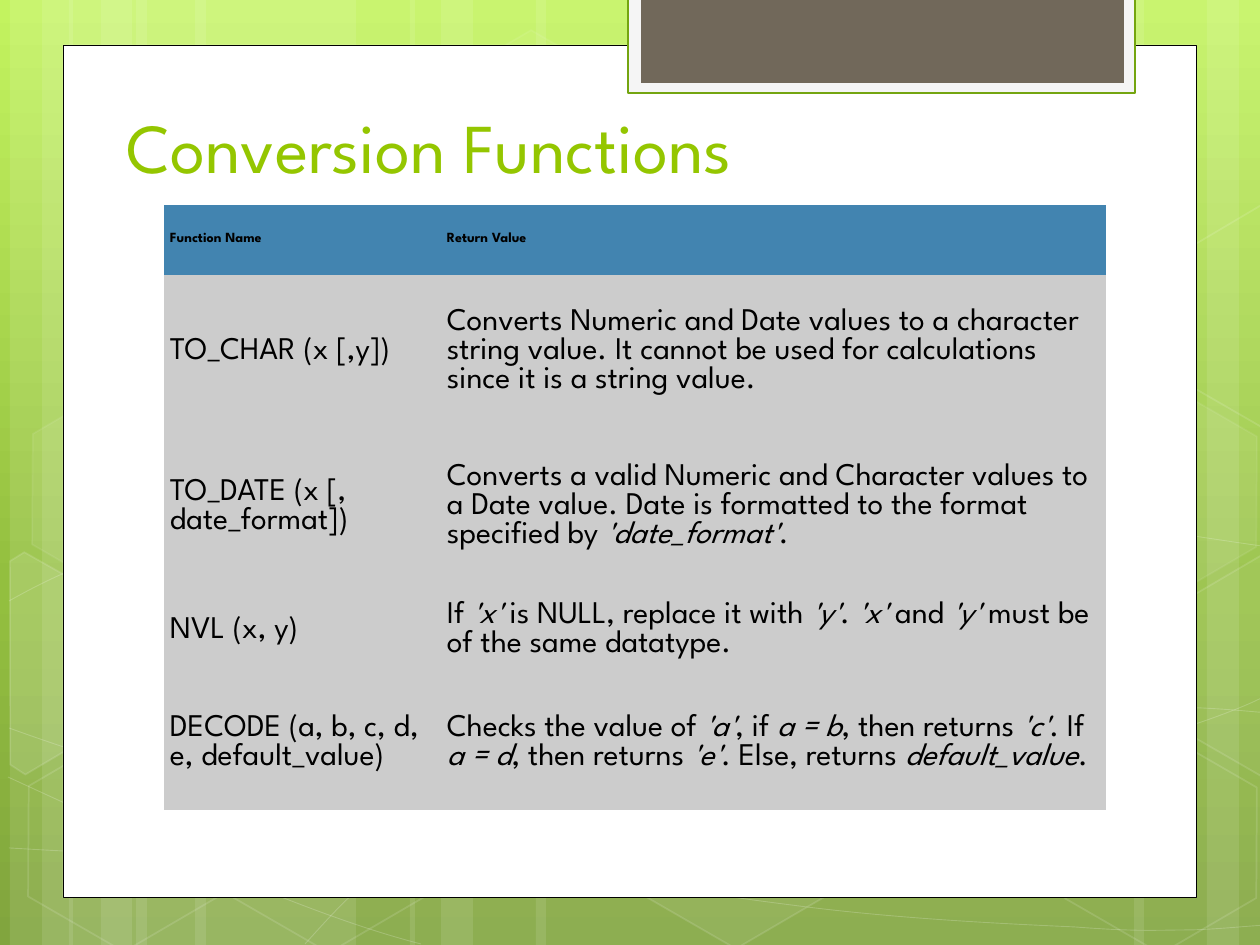
"""Build the Conversion Functions slide."""
from copy import deepcopy
from math import cos, radians, sin
from lxml.etree import SubElement
from pptx import Presentation
from pptx.dml.color import RGBColor
from pptx.enum.shapes import MSO_SHAPE
from pptx.enum.text import MSO_ANCHOR, PP_ALIGN
from pptx.oxml.ns import qn
from pptx.util import Pt

PX = 914400 / 126
WIDE, HIGH = 1260, 945
TILT = 30
FONT = "League Spartan"
WHITE = RGBColor(0xFF, 0xFF, 0xFF)
BLACK = RGBColor(0, 0, 0)
LIME = RGBColor(0x94, 0xC6, 0x00)
EDGE = RGBColor(0x74, 0xA5, 0x10)
PALE = RGBColor(0xF5, 0xF5, 0xF5)
BROWN = RGBColor(0x71, 0x68, 0x5A)
BLUE = RGBColor(0x42, 0x84, 0xB0)
GREY = RGBColor(0xCC, 0xCC, 0xCC)
STOPS = [(0, RGBColor(0xC3, 0xF3, 0x5F)), (0.62, RGBColor(0x93, 0xBF, 0x3F)),
         (1, RGBColor(0x81, 0xA5, 0x3E))]

TITLE = "Conversion Functions"
ROWS = [
    ("Function Name", "Return Value"),
    ("TO_CHAR (x [,y])",
     "Converts Numeric and Date values to a character string value. "
     "It cannot be used for calculations since it is a string value."),
    ("TO_DATE (x [, date_format])",
     "Converts a valid Numeric and Character values to a Date value. "
     "Date is formatted to the format specified by *'date_format'*."),
    ("NVL (x, y)",
     "If *'x'* is NULL, replace it with *'y'*. *'x'* and *'y'* must be "
     "of the same datatype. "),
    ("DECODE (a, b, c, d, e, default_value) ",
     "Checks the value of *'a'*, if *a = b*, then returns *'c'*. If *a = d*, "
     "then returns *'e'*. Else, returns *default_value*. "),
]
COLS = [277, 665]
TALL = [70, 155, 155, 92, 133]

BARS = [(136, 220), (10, 63), (42, 105), (195, 220), (69, 63), (101, 105),
        (924, 220), (1207, 63), (1134, 105), (536, 388), (410, 63), (441, 105)]
CURVES = [
    [(9, 848), (77, 852), (145, 856), (239, 854), (334, 853), (451, 851),
     (577, 838), (703, 825), (882, 801), (998, 777), (1113, 753), (1231, 716),
     (1269, 694)],
    [(9, 601), (45, 581), (82, 562), (152, 543), (224, 521), (326, 496),
     (437, 488), (549, 479), (685, 478), (824, 488), (963, 498), (1193, 537),
     (1269, 547)],
    [(8, 777), (160, 847), (311, 916), (421, 944)],
    [(9, 728), (48, 742), (88, 756), (161, 776), (234, 795), (344, 827),
     (450, 848), (554, 869), (687, 892), (791, 905), (896, 919), (1008, 924),
     (1075, 927), (1140, 932), (1158, 930), (1191, 930), (1223, 929),
     (1246, 926), (1269, 925)],
    [(305, 944), (328, 919), (350, 893), (381, 871), (411, 848), (454, 823),
     (489, 805), (524, 788), (546, 780), (592, 767), (638, 755), (722, 737),
     (766, 728), (811, 719), (818, 719), (857, 717), (896, 713), (958, 709),
     (1000, 708), (1045, 707), (1116, 708), (1116, 708), (1116, 708),
     (1201, 708), (1201, 708), (1223, 709), (1245, 711), (1256, 712),
     (1268, 713), (1264, 712), (1268, 713)],
]
HEXES = [(421, 45, 4, 8), (626, 742, 6, 12), (14, 745, 0, 12), (18, 393, 7, 8),
         (219, 746, 0, 12), (949, 571, 10, 12), (1051, 747, 0, 12),
         (1051, 396, 7, 8)]
CUTS = [
    ((45, 674), 10, [(10, 561), (24, 552), (121, 607), (120, 718), (25, 774),
                     (10, 765)]),
    ((1241, 655), 4, [(1167, 611), (1261, 556), (1271, 562), (1271, 777),
                      (1263, 777), (1167, 722)]),
    ((1241, 304), 0, [(1167, 261), (1261, 205), (1273, 212), (1271, 422),
                      (1263, 427), (1167, 372)]),
]
PANELS = [((63, 45, 1134, 853), WHITE, BLACK, 0.5),
          ((628, -3, 507, 96), PALE, EDGE, 1.25),
          ((641, -3, 483, 86), BROWN, None, 0)]


def emu(*vals):
    return [round(v * PX) for v in vals]


def paint(shape, fill=None, line=None, width=0, alpha=100, clear=100):
    shape.shadow.inherit = False
    for ink, tone in ((shape.fill, fill), (shape.line.fill, line)):
        if tone is None:
            ink.background()
        else:
            ink.solid()
            ink.fore_color.rgb = tone
    if line is not None:
        shape.line.width = Pt(width)
    props = shape.element.spPr
    for tags, part in (("a:solidFill", alpha), ("a:ln/a:solidFill", clear)):
        node = props.find("/".join(qn(t) for t in tags.split("/")))
        if node is not None and part < 100:
            SubElement(node[0], qn("a:alpha"), val=str(part * 1000))


def glass(shape, alpha, clear, width=1):
    paint(shape, WHITE if alpha else None, WHITE, width, alpha, clear)


def trace(dots, close):
    pen = shapes.build_freeform(*dots[0], scale=PX)
    pen.add_line_segments(dots[1:], close=close)
    return pen.convert_to_shape()


def bend(dots):
    shape = trace(dots, False)
    legs = shape.element.findall(".//" + qn("a:lnTo"))
    for k in range(0, len(legs), 3):
        trio = legs[k:k + 3]
        a, b, c, d = dots[k:k + 4]
        route = trio[0].getparent()
        if a == b and c == d:
            route.remove(trio[0])
            route.remove(trio[1])
            continue
        curve = SubElement(route, qn("a:cubicBezTo"))
        trio[0].addprevious(curve)
        for leg in trio:
            curve.append(leg[0])
            route.remove(leg)
    return shape


def turn(dots, mid):
    c, s = cos(radians(TILT)), sin(radians(TILT))
    gaps = [(x - mid[0], y - mid[1]) for x, y in dots]
    return [(round(mid[0] + x * c + y * s), round(mid[1] - x * s + y * c))
            for x, y in gaps]


def write(para, text, size, color, bold=False):
    para.alignment = PP_ALIGN.LEFT
    for n, part in enumerate(text.split("*")):
        run = para.add_run()
        run.text = part
        font = run.font
        font.name, font.size, font.bold = FONT, Pt(size), bold
        font.italic = n % 2 == 1
        font.color.rgb = color


deck = Presentation()
deck.slide_width, deck.slide_height = emu(WIDE, HIGH)
slide = deck.slides.add_slide(deck.slide_layouts[5])
shapes = slide.shapes

back = slide.background.fill
back.gradient()
back.gradient_angle = 270
stops = slide.element.find(".//" + qn("a:gsLst"))
stops.append(deepcopy(stops[0]))
for stop, (place, tone) in zip(back.gradient_stops, STOPS):
    stop.position = place
    stop.color.rgb = tone

for x, w in BARS:
    paint(shapes.add_shape(MSO_SHAPE.RECTANGLE, *emu(x, 0, w, HIGH)),
          WHITE, alpha=10)
for dots in CURVES:
    glass(bend(dots), 0, 20, 0.5)
for x, y, alpha, clear in HEXES:
    hexa = shapes.add_shape(MSO_SHAPE.HEXAGON, *emu(x, y, 220, 192))
    hexa.adjustments[0], hexa.adjustments[1] = 0.285, 1.155
    hexa.rotation = TILT
    glass(hexa, alpha, clear)
for mid, alpha, dots in CUTS:
    cut = trace(turn(dots, mid), True)
    cut.rotation = TILT
    glass(cut, alpha, 12)
for box, fill, line, width in PANELS:
    paint(shapes.add_shape(MSO_SHAPE.RECTANGLE, *emu(*box)), fill, line, width)

title = shapes.title
title.left, title.top, title.width, title.height = emu(114, 36, 968, 158)
title.text_frame.vertical_anchor = MSO_ANCHOR.BOTTOM
write(title.text_frame.paragraphs[0], TITLE, 40, LIME)
title.element.getparent().append(title.element)

frame = shapes.add_table(len(ROWS), len(COLS),
                         *emu(164, 205, sum(COLS), sum(TALL)))
table = frame.table
table.horz_banding = False
style = frame.element.find(".//" + qn("a:tableStyleId"))
style.text = "{2D5ABB26-0587-4C30-8999-92F81FD0307C}"
for col, w in zip(table.columns, COLS):
    col.width = round(w * PX)
for r, (row, h) in enumerate(zip(ROWS, TALL)):
    table.rows[r].height = round(h * PX)
    for c, text in enumerate(row):
        cell = table.cell(r, c)
        cell.fill.solid()
        cell.fill.fore_color.rgb = GREY if r else BLUE
        cell.vertical_anchor = MSO_ANCHOR.MIDDLE
        cell.margin_left, cell.margin_right = emu(6, 5)
        cell.margin_top, cell.margin_bottom = emu(2, 3)
        write(cell.text_frame.paragraphs[0], text, 18 if r else 8, BLACK, r == 0)

deck.save("out.pptx")
